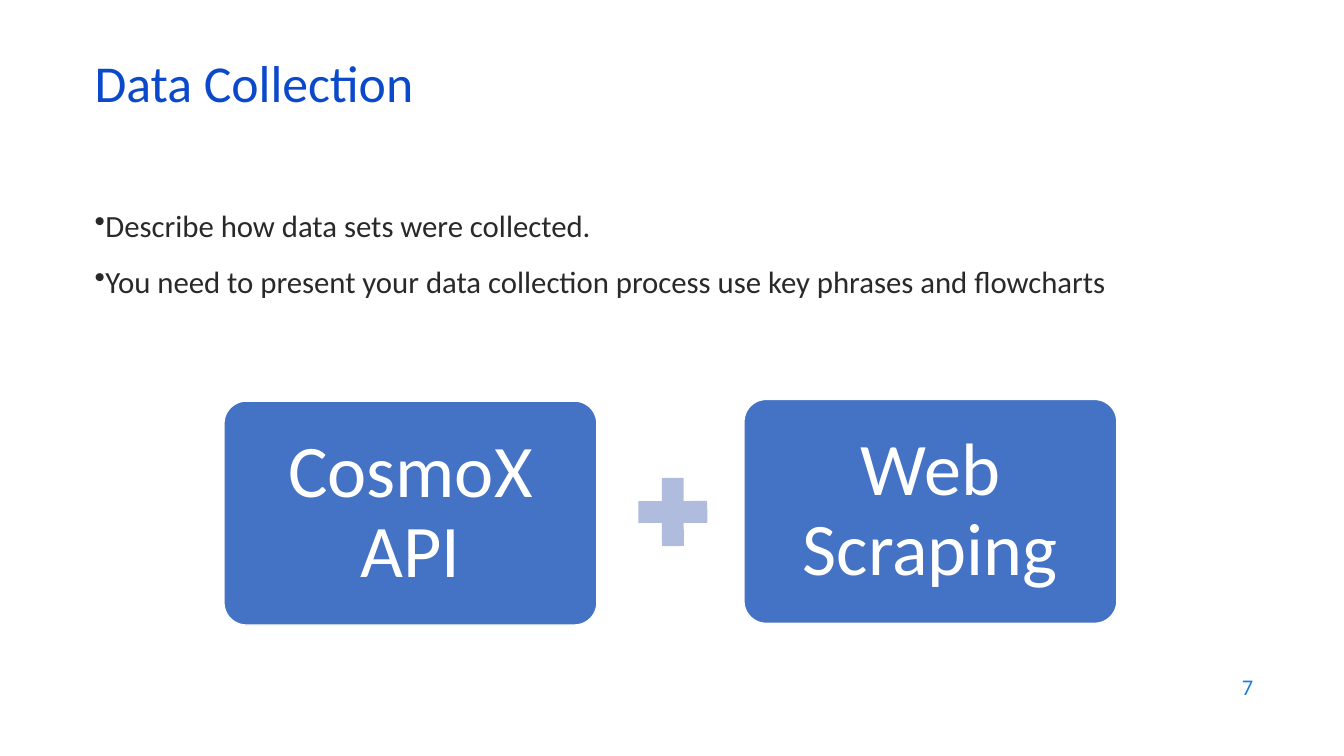
from pptx import Presentation
from pptx.dml.color import RGBColor
from pptx.enum.shapes import MSO_SHAPE as Shape
from pptx.enum.text import MSO_ANCHOR as Anchor, PP_ALIGN as Align
from pptx.oxml.ns import qn
from pptx.util import Pt
from lxml.etree import SubElement


def color(hex_string):
    return RGBColor.from_string(hex_string)


class SlideBuilder:
    FONT = "Calibri"
    TITLE, BODY, NUMBER = "0B49CB", "292929", "1C7DDB"
    BOX, PLUS, WHITE = "4472C4", "B0BCDE", "FFFFFF"

    def __init__(self, slide):
        self.slide = slide

    def fill_text(self, shape, lines, size, ink, align=Align.LEFT, anchor=Anchor.MIDDLE,
                  spacing=1.0, gap=0, bullet=None):
        frame = shape.text_frame
        frame.word_wrap = True
        frame.vertical_anchor = anchor
        frame.text = "\n".join(lines)
        for index, paragraph in enumerate(frame.paragraphs):
            paragraph.alignment = align
            paragraph.line_spacing = spacing
            if index:
                paragraph.space_before = Pt(gap)
            if bullet:
                properties = paragraph._p.get_or_add_pPr()
                properties.set("marL", "0")
                properties.set("indent", "0")
                SubElement(properties, qn("a:buChar"), char=bullet)
            paragraph.font.name = self.FONT
            paragraph.font.size = Pt(size)
            paragraph.font.color.rgb = color(ink)

    def text(self, left, top, width, height, lines, size, ink, **style):
        box = self.slide.shapes.add_textbox(Pt(left), Pt(top), Pt(width), Pt(height))
        self.fill_text(box, lines, size, ink, **style)

    def shape(self, kind, left, top, width, height, fill):
        shape = self.slide.shapes.add_shape(kind, Pt(left), Pt(top), Pt(width), Pt(height))
        shape.shadow.inherit = False
        shape.fill.solid()
        shape.fill.fore_color.rgb = color(fill)
        shape.line.fill.background()
        return shape

    def source_box(self, left, top, label):
        box = self.shape(Shape.ROUNDED_RECTANGLE, left, top, 266.4, 160, self.BOX)
        box.adjustments[0] = 0.1
        box.line.color.rgb = color(self.WHITE)
        box.line.width = Pt(1)
        frame = box.text_frame
        frame.margin_left = frame.margin_right = Pt(20)
        frame.margin_top = frame.margin_bottom = Pt(20)
        self.fill_text(box, [label], 53, self.WHITE, align=Align.CENTER, spacing=0.9)


def main():
    presentation = Presentation()
    presentation.slide_width, presentation.slide_height = Pt(960), Pt(540)
    builder = SlideBuilder(presentation.slides.add_slide(presentation.slide_layouts[6]))

    # Title, bullets and slide number
    builder.text(60.5, 42.5, 828, 43.2, ["Data Collection"], 37, builder.TITLE, spacing=0.7)
    builder.text(60.5, 144, 828, 342.7, [
        "Describe how data sets were collected.",
        "You need to present your data collection process use key phrases and flowcharts",
    ], 22, builder.BODY, anchor=Anchor.TOP, gap=14, bullet="•")
    builder.text(686.2, 474.5, 216, 31.7, ["7"], 16, builder.NUMBER, align=Align.RIGHT)

    # Two data sources joined by a plus
    builder.source_box(160, 286.5, "CosmoX API")
    plus = builder.shape(Shape.MATH_PLUS, 447.1, 332.6, 67, 66.2, builder.PLUS)
    plus.rotation = 359.8
    builder.source_box(531.4, 285.3, "Web Scraping")

    presentation.save("out.pptx")


if __name__ == "__main__":
    main()
